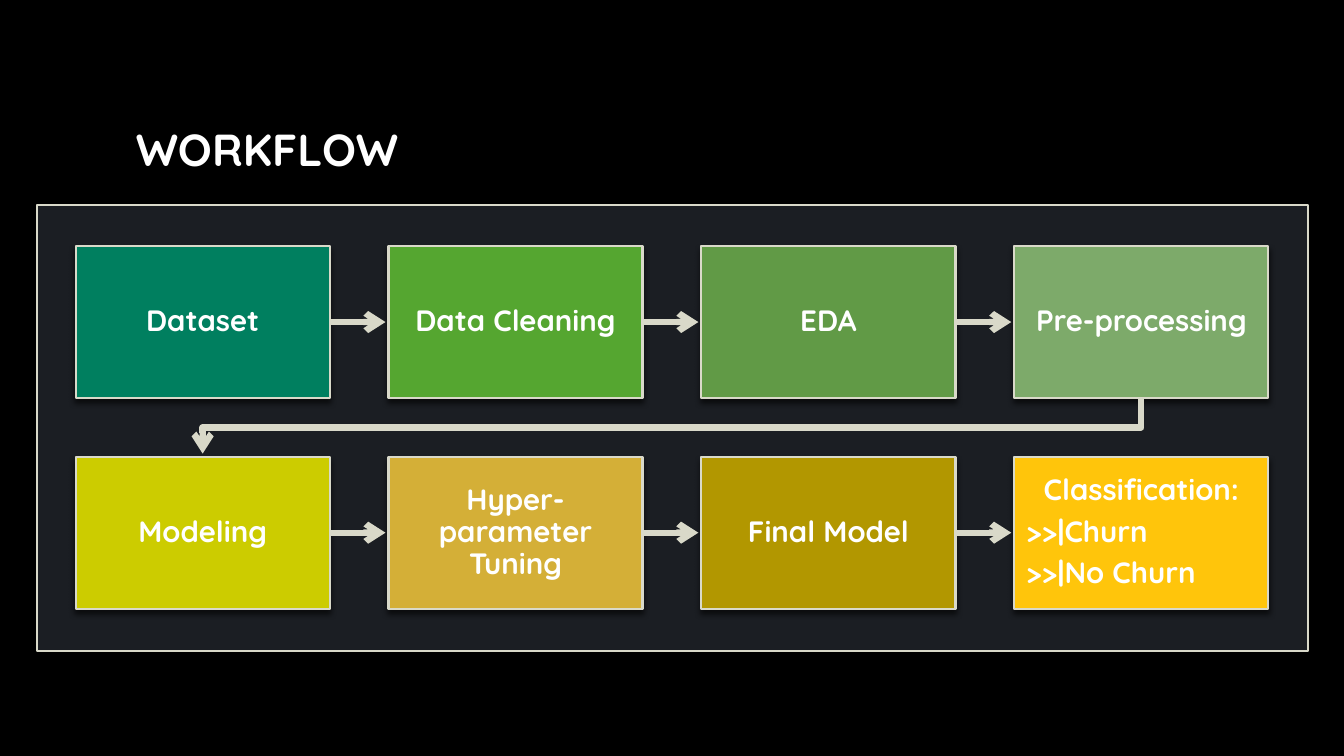
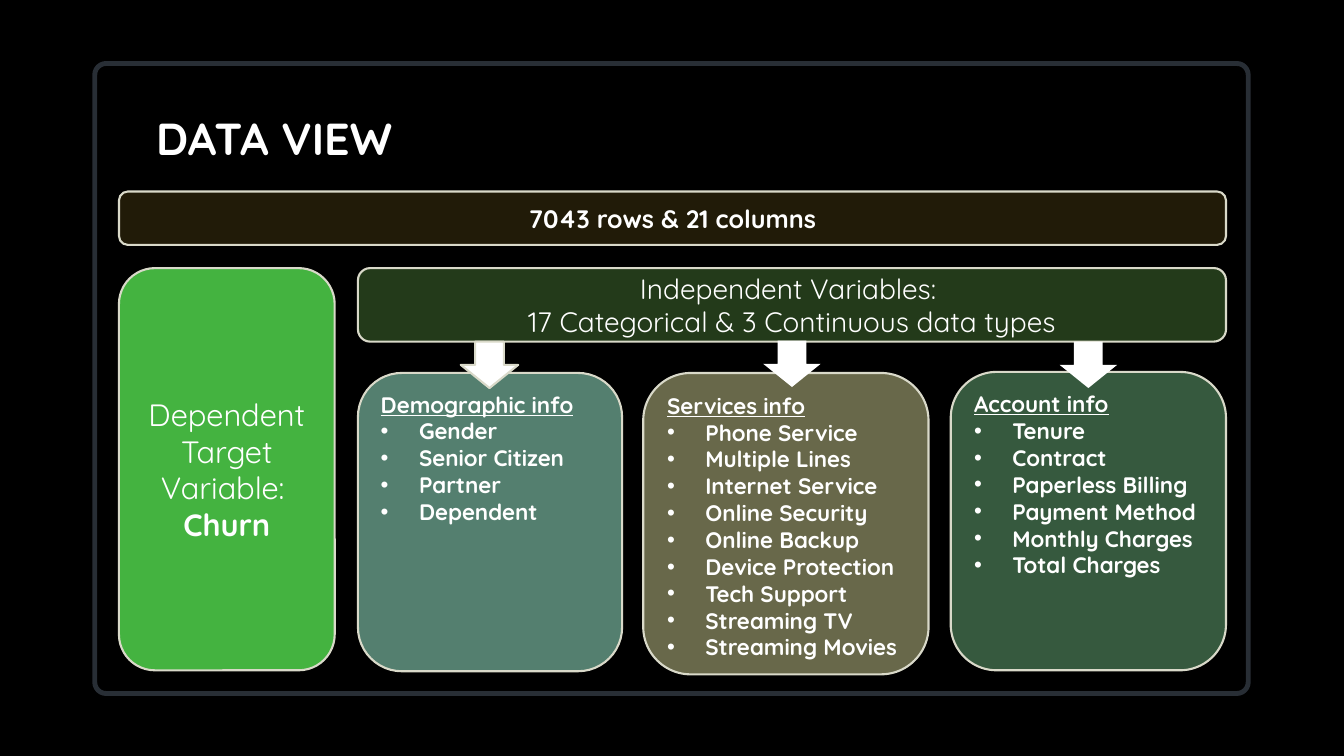
from lxml import etree
from pptx import Presentation
from pptx.dml.color import RGBColor
from pptx.enum.shapes import MSO_CONNECTOR, MSO_SHAPE
from pptx.enum.text import MSO_ANCHOR, PP_ALIGN
from pptx.oxml.ns import qn
from pptx.util import Inches, Pt

RECT, ROUNDED = MSO_SHAPE.RECTANGLE, MSO_SHAPE.ROUNDED_RECTANGLE
DOWN_ARROW, STRAIGHT = MSO_SHAPE.DOWN_ARROW, MSO_CONNECTOR.STRAIGHT
LEFT, CENTER = PP_ALIGN.LEFT, PP_ALIGN.CENTER
TOP, MIDDLE = MSO_ANCHOR.TOP, MSO_ANCHOR.MIDDLE

FONT = "Quicksand"
BLACK = RGBColor(0x00, 0x00, 0x00)
WHITE = RGBColor(0xFF, 0xFF, 0xFF)
CREAM = RGBColor(0xD9, 0xD9, 0xC9)
PANEL = RGBColor(0x1B, 0x1E, 0x23)
FRAME = RGBColor(0x28, 0x2E, 0x35)
TEAL = RGBColor(0x00, 0x7F, 0x5F)
GREEN = RGBColor(0x55, 0xA6, 0x30)
MOSS = RGBColor(0x61, 0x9A, 0x46)
SAGE = RGBColor(0x7D, 0xAA, 0x6A)
LIME = RGBColor(0xCC, 0xCC, 0x00)
GOLD = RGBColor(0xD4, 0xAF, 0x37)
OCHRE = RGBColor(0xB2, 0x97, 0x00)
AMBER = RGBColor(0xFF, 0xC5, 0x0B)
SEA = RGBColor(0x54, 0x7F, 0x6F)
OLIVE = RGBColor(0x68, 0x68, 0x4A)
PINE = RGBColor(0x36, 0x59, 0x3E)
FOREST = RGBColor(0x23, 0x3A, 0x1A)
BRIGHT_GREEN = RGBColor(0x44, 0xB3, 0x40)
DARK_BROWN = RGBColor(0x21, 0x1B, 0x08)


def add_block(slide, geometry, bounds, fill, line=CREAM, width=1.5):
    block = slide.shapes.add_shape(geometry, *map(Inches, bounds))
    block.shadow.inherit = False
    block.fill.solid()
    block.fill.fore_color.rgb = fill
    if line is None:
        block.line.fill.background()
    else:
        block.line.color.rgb = line
        block.line.width = Pt(width)
    return block


def add_run(paragraph, text, size, bold=False, align=CENTER):
    paragraph.alignment = align
    run = paragraph.add_run()
    run.text = text
    run.font.name = FONT
    run.font.size = Pt(size)
    run.font.bold = bold
    run.font.color.rgb = WHITE
    return run


prs = Presentation()
prs.slide_width, prs.slide_height = Inches(13.33), Inches(7.5)

# Shared parts: background, panel and title
slides = []
for title, title_bounds, geometry, panel_bounds, fill, line, width in [
    ("WORKFLOW", (1.25, 0.67, 10.83, 1.61),
     RECT, (0.37, 2.03, 12.6, 4.43), PANEL, CREAM, 1.5),
    ("DATA VIEW", (1.45, 0.96, 10.45, 0.81),
     ROUNDED, (0.94, 0.63, 11.44, 6.25), BLACK, FRAME, 3.5),
]:
    slide = prs.slides.add_slide(prs.slide_layouts[6])
    slide.background.fill.solid()
    slide.background.fill.fore_color.rgb = BLACK
    panel = add_block(slide, geometry, panel_bounds, fill, line, width)
    if geometry == ROUNDED:
        panel.adjustments[0] = 0.018
    heading = slide.shapes.add_textbox(*map(Inches, title_bounds)).text_frame
    heading.word_wrap = True
    heading.vertical_anchor = MIDDLE
    add_run(heading.paragraphs[0], title, 32, True, LEFT)
    slides.append(slide)
workflow, data_view = slides

# Workflow steps, four to a row
STEP_W, STEP_H = 2.52, 1.51
FIRST_X, LAST_X = 0.75, 10.06
PITCH_X = (LAST_X - FIRST_X) / 3
ROW_Y = (2.44, 4.53)
ARROW_GAP = 0.03
steps = []
for i, (lines, color) in enumerate([
    (["Dataset"], TEAL), (["Data Cleaning"], GREEN),
    (["EDA"], MOSS), (["Pre-processing"], SAGE),
    (["Modeling"], LIME), (["Hyper-parameter Tuning"], GOLD),
    (["Final Model"], OCHRE),
    (["Classification:", ">>|Churn", ">>|No Churn"], AMBER),
]):
    row, col = divmod(i, 4)
    step = add_block(workflow, RECT,
                     (FIRST_X + col * PITCH_X, ROW_Y[row], STEP_W, STEP_H), color)
    effects = step.element.spPr.find(qn("a:effectLst"))
    shadow = etree.SubElement(effects, qn("a:outerShdw"), blurRad=str(Pt(4)),
                              dist=str(Pt(3)), dir="5400000", rotWithShape="0")
    shadow_color = etree.SubElement(shadow, qn("a:srgbClr"), val="000000")
    etree.SubElement(shadow_color, qn("a:alpha"), val="60000")
    frame = step.text_frame
    frame.margin_left = frame.margin_right = Inches(0.12)
    frame.margin_top = frame.margin_bottom = Inches(0.13)
    for n, text in enumerate(lines):
        paragraph = frame.add_paragraph() if n else frame.paragraphs[0]
        paragraph.line_spacing = 0.9
        paragraph.space_after = Pt(7)
        add_run(paragraph, text, 21, True, LEFT if n else CENTER)
    steps.append(step)

# Arrows along each row, then the turn from the first row to the second
arrows = []
for i, (step, following) in enumerate(zip(steps, steps[1:])):
    if i == 3:
        start_x = step.left + step.width // 2
        start_y = step.top + step.height
        end_x = following.left + following.width // 2
        turn_y = (start_y + following.top) // 2
        path_start = workflow.shapes.build_freeform(start_x, start_y)
        path_start.add_line_segments(
            [(start_x, turn_y), (end_x, turn_y),
             (end_x, following.top - Inches(ARROW_GAP))], close=False)
        arrow = path_start.convert_to_shape()
        arrow.fill.background()
    else:
        middle_y = step.top + step.height // 2
        arrow = workflow.shapes.add_connector(
            STRAIGHT, step.left + step.width, middle_y,
            following.left - Inches(ARROW_GAP), middle_y)
        arrow.begin_connect(step, 3)
    arrows.append(arrow)
for arrow in arrows:
    arrow.line.color.rgb = CREAM
    arrow.line.width = Pt(4.5)
    properties = arrow.element.spPr
    etree.SubElement(properties.find(qn("a:ln")), qn("a:tailEnd"), type="arrow")
    etree.SubElement(properties, qn("a:effectLst"))

# Lists of independent variables
for bounds, color, group, variables in [
    ((3.55, 3.7, 2.62, 2.96), SEA, "Demographic info",
     ["Gender", "Senior Citizen", "Partner", "Dependent"]),
    ((6.38, 3.7, 2.83, 2.99), OLIVE, "Services info",
     ["Phone Service", "Multiple Lines", "Internet Service", "Online Security",
      "Online Backup", "Device Protection", "Tech Support", "Streaming TV",
      "Streaming Movies"]),
    ((9.43, 3.69, 2.73, 2.96), PINE, "Account info",
     ["Tenure", "Contract", "Paperless Billing", "Payment Method",
      "Monthly Charges", "Total Charges"]),
]:
    frame = add_block(data_view, ROUNDED, bounds, color).text_frame
    frame.vertical_anchor = TOP
    add_run(frame.paragraphs[0], group, 16, True, LEFT).font.underline = True
    for variable in variables:
        paragraph = frame.add_paragraph()
        indent = paragraph._p.get_or_add_pPr()
        indent.set("marL", str(Inches(0.38)))
        indent.set("indent", str(-Inches(0.38)))
        etree.SubElement(indent, qn("a:buFont"), typeface="Arial")
        etree.SubElement(indent, qn("a:buChar"), char="•")
        add_run(paragraph, variable, 16, True, LEFT)

# Heading of the independent variables
independent = add_block(data_view, ROUNDED, (3.55, 2.66, 8.61, 0.73), FOREST).text_frame
add_run(independent.paragraphs[0], "Independent Variables: ", 20)
add_run(independent.add_paragraph(), "17 Categorical & 3 Continuous data types", 20)

# Target variable
target = add_block(data_view, ROUNDED, (1.18, 2.66, 2.14, 3.99), BRIGHT_GREEN)
target_line = target.text_frame.paragraphs[0]
add_run(target_line, "Dependent Target Variable: ", 22)
target_line.add_line_break()
add_run(target_line, "Churn", 22, True)

# Arrows from the heading to the lists
for x, y, outline in [(4.57, 3.39, CREAM), (7.57, 3.38, None), (10.51, 3.39, None)]:
    add_block(data_view, DOWN_ARROW, (x, y, 0.57, 0.46), WHITE, outline)

# Size of the data set
size_band = add_block(data_view, ROUNDED, (1.18, 1.9, 10.98, 0.53), DARK_BROWN)
add_run(size_band.text_frame.paragraphs[0], "7043 rows & 21 columns", 18, True)

prs.save("out.pptx")
